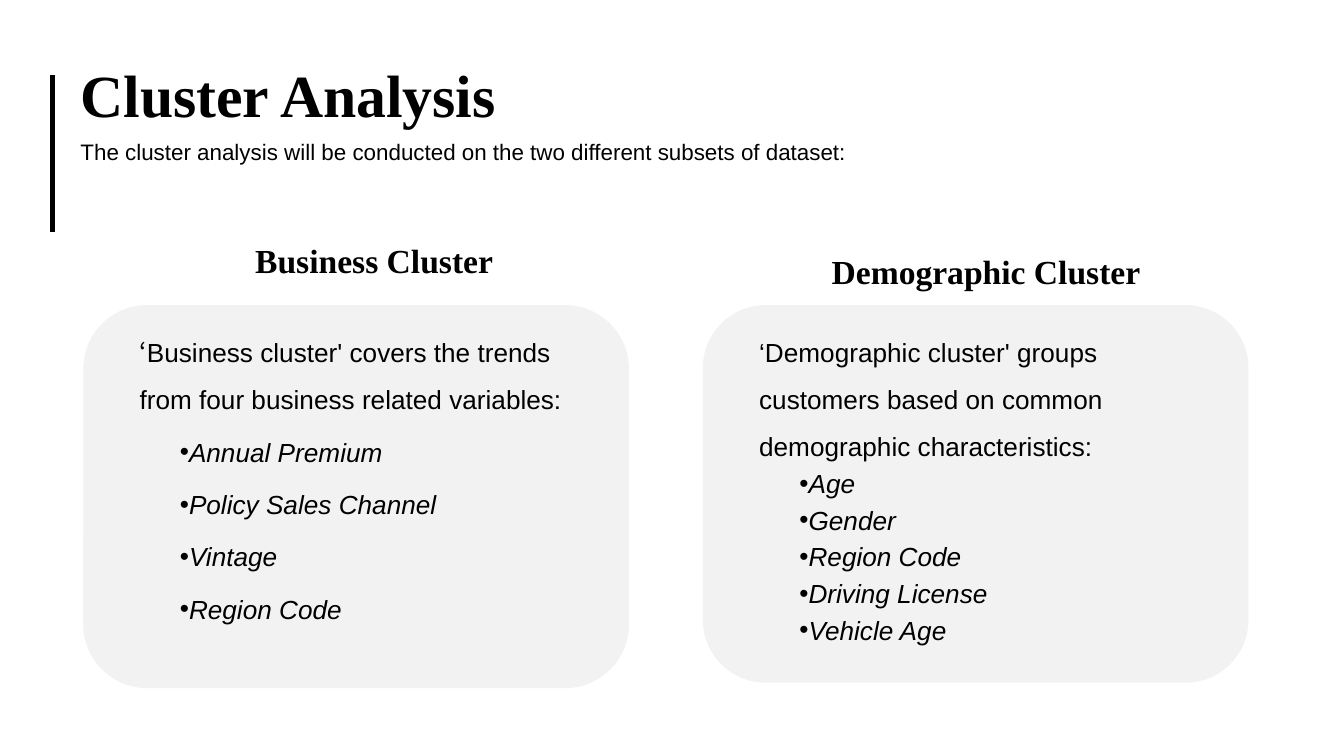
from lxml import etree
from pptx import Presentation
from pptx.dml.color import RGBColor
from pptx.enum import shapes, text
from pptx.oxml.ns import qn
from pptx.util import Inches, Pt

BLACK = RGBColor(0, 0, 0)
WHITE = RGBColor(0xFF, 0xFF, 0xFF)
PANEL = RGBColor(0xF2, 0xF2, 0xF2)

TITLE = dict(name="Times New Roman", size=Pt(32), bold=True)
HEADING = dict(name="Times New Roman", size=Pt(18), bold=True)
LEAD = dict(name="Arial", size=Pt(12))
BODY = dict(name="Arial", size=Pt(14))
ITEM = dict(BODY, italic=True)
QUOTE = dict(BODY, name="Noto Sans CJK KR")


def add_run(p, words, fmt):
    r = p.add_run()
    r.text = words
    r.font.color.rgb = BLACK
    for key, value in fmt.items():
        setattr(r.font, key, value)


def add_text(s, box, words, fmt, spacing=1.0, anchor=text.MSO_ANCHOR.TOP):
    """Add a text box with one paragraph and return its text frame."""
    tf = s.shapes.add_textbox(*map(Inches, box)).text_frame
    tf.word_wrap = True
    tf.vertical_anchor = anchor
    p = tf.paragraphs[0]
    p.line_spacing = spacing
    add_run(p, words, fmt)
    return tf


def add_bullet(tf, words, spacing):
    p = tf.add_paragraph()
    p.line_spacing = spacing
    p.space_before = Pt(2.8)
    ppr = p._p.get_or_add_pPr()
    ppr.set("marL", "0")
    ppr.set("indent", str(Inches(0.3)))
    etree.SubElement(ppr, qn("a:buFont")).set("typeface", "Arial")
    etree.SubElement(ppr, qn("a:buChar")).set("char", "•")
    add_run(p, words, ITEM)


def add_header(s, x, y, title, lead):
    """Title and lead sentence beside a vertical rule."""
    add_text(s, (x, y, 9, 0.94), title, TITLE, anchor=text.MSO_ANCHOR.MIDDLE)
    add_text(s, (x, y + 0.63, 8.72, 0.47), lead, LEAD, 1.6)
    rule = s.shapes.add_connector(
        shapes.MSO_CONNECTOR.STRAIGHT,
        *map(Inches, (x - 0.11, y + 0.33, x - 0.11, y + 1.5)))
    rule.line.color.rgb = BLACK
    rule.line.width = Pt(3)
    etree.SubElement(rule._element.spPr, qn("a:effectLst"))


def add_cluster(s, box, heading, heading_box, intro, width, items, spacing, quote=""):
    """Rounded panel with a heading above and a bulleted text inside."""
    x, y, w, h = box
    sp = s.shapes.add_shape(shapes.MSO_SHAPE.ROUNDED_RECTANGLE, *map(Inches, box))
    sp.shadow.inherit = False
    sp.fill.solid()
    sp.fill.fore_color.rgb = PANEL
    sp.line.fill.background()

    dx, dy, hw = heading_box
    add_text(s, (x + dx, y + dy, hw, 0.47), heading, HEADING, 1.6)

    first, fmt = (quote, QUOTE) if quote else (intro, BODY)
    tf = add_text(s, (x + 0.32, y + 0.07, width, 0.47), first, fmt, 1.5)
    if quote:
        add_run(tf.paragraphs[0], intro, BODY)
    for item in items:
        add_bullet(tf, item, spacing)


def main():
    prs = Presentation()
    prs.slide_width = Inches(10)
    prs.slide_height = prs.slide_width * 9 // 16
    s = prs.slides.add_slide(prs.slide_layouts[6])
    s.background.fill.solid()
    s.background.fill.fore_color.rgb = WHITE

    # Header
    add_header(s, 0.5, 0.23, "Cluster Analysis",
               "The cluster analysis will be conducted on the two different subsets of dataset:")

    # Left panel
    add_cluster(s, (0.62, 2.27, 4.06, 2.85), "Business Cluster", (1.18, -0.71, 2.11),
                "Business cluster' covers the trends from four business related variables:",
                3.59, ["Annual Premium", "Policy Sales Channel", "Vintage", "Region Code"],
                1.5, quote="‘")

    # Right panel
    add_cluster(s, (5.23, 2.27, 4.06, 2.81), "Demographic Cluster", (0.86, -0.63, 2.97),
                "‘Demographic cluster' groups customers based on common "
                "demographic characteristics:",
                3.28, ["Age", "Gender", "Region Code", "Driving License", "Vehicle Age"], 1.0)

    prs.save("out.pptx")


if __name__ == "__main__":
    main()
